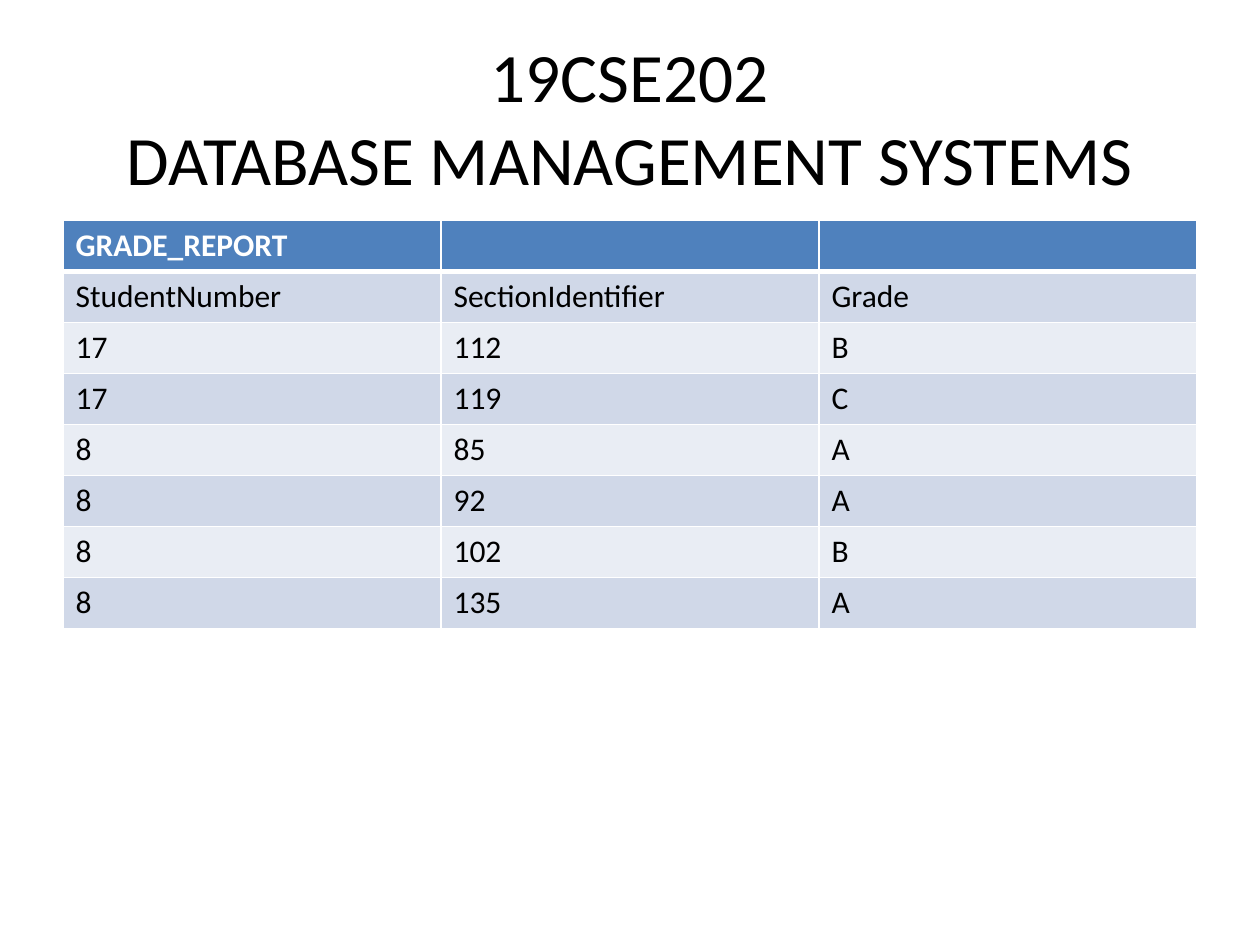
from dataclasses import dataclass

from lxml import etree
from pptx import Presentation
from pptx import util as u
from pptx.dml import color
from pptx.enum import text
from pptx.oxml import ns

FONT = "Calibri"
BLACK, WHITE = "000000", "FFFFFF"
HEADER_FILL = "4F81BD"
BAND_FILLS = ("D0D8E8", "E9EDF4")
TITLE_LINES = ("19CSE202", "DATABASE MANAGEMENT SYSTEMS")
GRADE_REPORT = (
    ("GRADE_REPORT", "", ""),
    ("StudentNumber", "SectionIdentifier", "Grade"),
    ("17", "112", "B"),
    ("17", "119", "C"),
    ("8", "85", "A"),
    ("8", "92", "A"),
    ("8", "102", "B"),
    ("8", "135", "A"),
)


@dataclass(frozen=True)
class RowStyle:
    fill: str
    font_color: str = BLACK
    bold: bool = False
    top: float = 1
    bottom: float = 1


def rgb(value: str) -> color.RGBColor:
    return color.RGBColor.from_string(value)


def add_run(paragraph, content: str, size: float, font_color: str, bold: bool = False) -> None:
    run = paragraph.add_run()
    run.text = content
    run.font.name = FONT
    run.font.size = u.Pt(size)
    run.font.bold = bold
    run.font.color.rgb = rgb(font_color)


def add_border(cell, side: str, width: float) -> None:
    properties = cell._tc.get_or_add_tcPr()
    line = etree.SubElement(properties, ns.qn(f"a:ln{side}"), w=str(u.Pt(width)))
    fill = etree.SubElement(line, ns.qn("a:solidFill"))
    etree.SubElement(fill, ns.qn("a:srgbClr"), val=WHITE)


def row_style(index: int) -> RowStyle:
    if index == 0:
        return RowStyle(HEADER_FILL, WHITE, bold=True, bottom=3)
    return RowStyle(BAND_FILLS[(index - 1) % 2], top=3 if index == 1 else 1)


def fill_cell(cell, content: str, style: RowStyle) -> None:
    for side, width in (("L", 1), ("R", 1), ("T", style.top), ("B", style.bottom)):
        add_border(cell, side, width)
    cell.fill.solid()
    cell.fill.fore_color.rgb = rgb(style.fill)
    if content:
        add_run(cell.text_frame.paragraphs[0], content, 18, style.font_color, style.bold)


def add_title(slide) -> None:
    shape = slide.shapes.add_textbox(u.Inches(0.5), u.Inches(0.3), u.Inches(9), u.Inches(1.25))
    frame = shape.text_frame
    frame.word_wrap = True
    frame.vertical_anchor = text.MSO_ANCHOR.MIDDLE
    paragraph = frame.paragraphs[0]
    paragraph.alignment = text.PP_ALIGN.CENTER
    for index, line in enumerate(TITLE_LINES):
        if index:
            paragraph.add_line_break()
        add_run(paragraph, line, 39.6, BLACK)


def add_grade_table(slide) -> None:
    table = slide.shapes.add_table(
        len(GRADE_REPORT), len(GRADE_REPORT[0]),
        u.Inches(0.5), u.Inches(1.75), u.Inches(9), u.Inches(3.24),
    ).table
    for row_index, values in enumerate(GRADE_REPORT):
        for column_index, value in enumerate(values):
            fill_cell(table.cell(row_index, column_index), value, row_style(row_index))


def main() -> None:
    """Build the grade report slide."""
    presentation = Presentation()
    presentation.slide_width = u.Inches(10)
    presentation.slide_height = u.Inches(7.5)
    slide = presentation.slides.add_slide(presentation.slide_layouts[6])
    add_title(slide)
    add_grade_table(slide)
    presentation.save("out.pptx")


if __name__ == "__main__":
    main()
